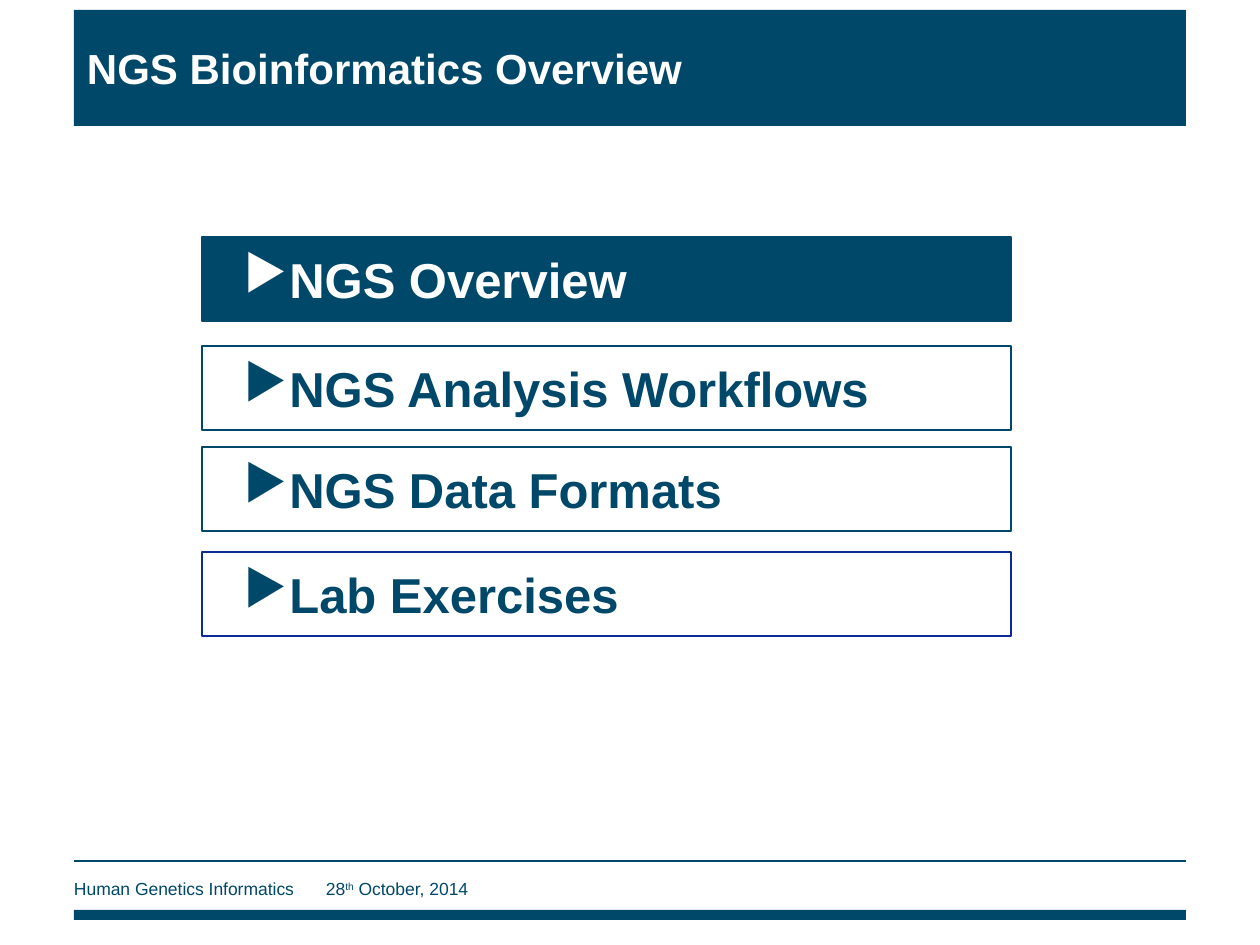
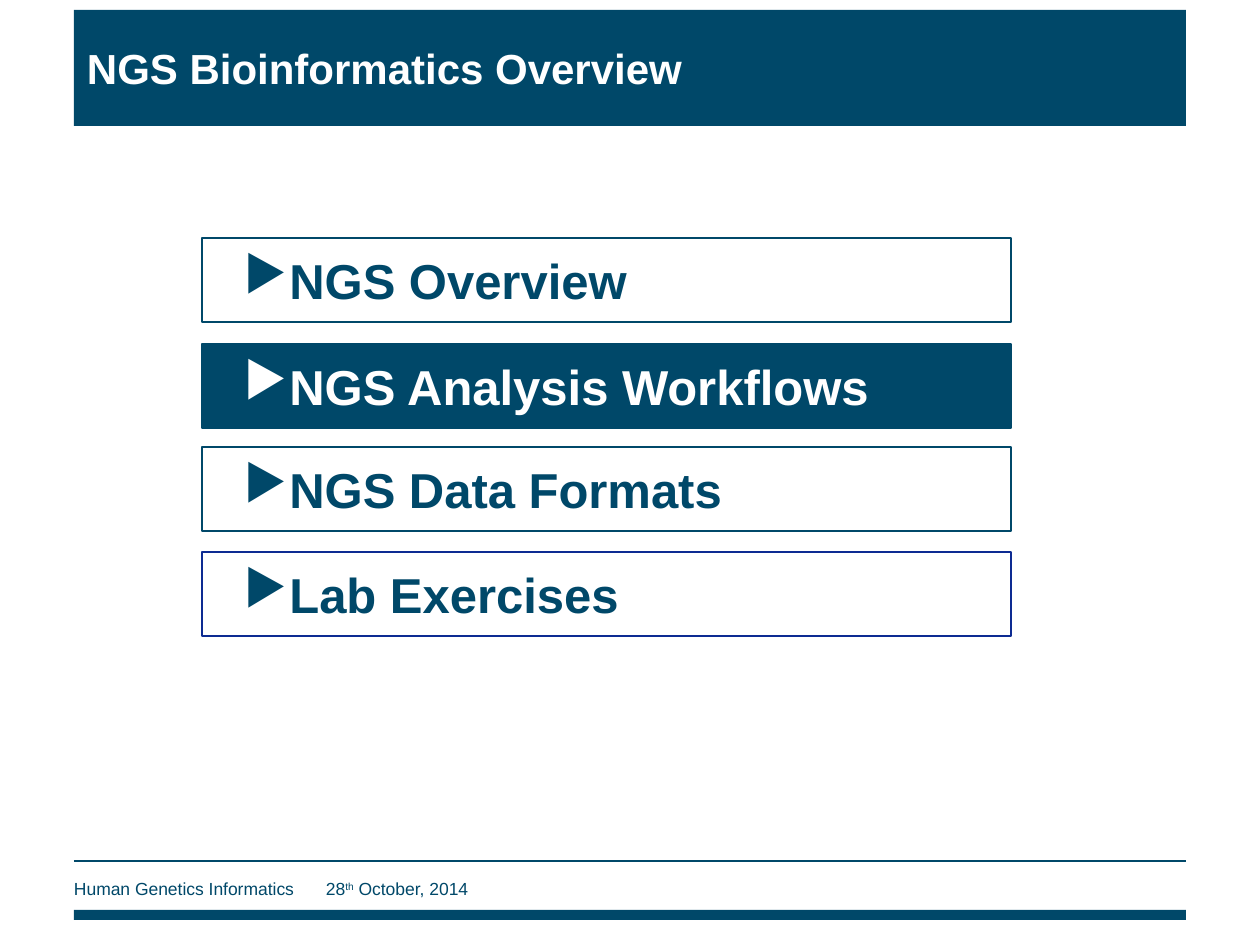
import dataclasses

import lxml.etree
import pptx
import pptx.dml.color
import pptx.enum.shapes
import pptx.enum.text
import pptx.oxml.ns
import pptx.util

PX = 914400 // 126  # EMU in one px


@dataclasses.dataclass(frozen=True)
class Theme:
    petrol: str = "004869"
    navy: str = "0D2B92"
    white: str = "FFFFFF"
    font: str = "Arial"
    title_size: int = 24
    topic_size: int = 28
    footer_size: int = 10
    line_width: float = 0.75


THEME = Theme()
TITLE = "NGS Bioinformatics Overview"
TITLE_BOX = (74, 10, 1112, 116)
FOOTER_BOX = (74, 861, 1112, 59)
AGENDA_BOX = (202, 237, 809, 399)
ROW_HEIGHT = 84

# Topic and outline colour
TOPICS = [
    ("NGS Overview", THEME.petrol),
    ("NGS Analysis Workflows", THEME.petrol),
    ("NGS Data Formats", THEME.petrol),
    ("Lab Exercises", THEME.navy),
]
# Current topic and the row offsets from the top of the agenda
AGENDAS = [
    (0, (0, 109, 210, 315)),
    (1, (1, 107, 210, 315)),
]


def px(*lengths):
    return [pptx.util.Emu(length * PX) for length in lengths]


def rgb(colour):
    return pptx.dml.color.RGBColor.from_string(colour)


def add_xml(parent, tag, **attributes):
    return lxml.etree.SubElement(parent, pptx.oxml.ns.qn(tag), attributes)


def set_font(para, size, colour, bold=False):
    para.font.name = THEME.font
    para.font.size = pptx.util.Pt(size)
    para.font.bold = bold
    para.font.color.rgb = rgb(colour)


def set_frame(shape, left_inset):
    frame = shape.text_frame
    frame.word_wrap = True
    frame.vertical_anchor = pptx.enum.text.MSO_ANCHOR.MIDDLE
    frame.margin_left, frame.margin_right = px(left_inset, 13)
    frame.margin_top, frame.margin_bottom = px(6, 6)
    para = frame.paragraphs[0]
    para.alignment = pptx.enum.text.PP_ALIGN.LEFT
    return para


def add_bar(page, box, fill, outline=None):
    bar = page.shapes.add_shape(pptx.enum.shapes.MSO_SHAPE.RECTANGLE, *px(*box))
    bar.shadow.inherit = False
    bar.fill.solid()
    bar.fill.fore_color.rgb = rgb(fill)
    if outline:
        bar.line.color.rgb = rgb(outline)
        bar.line.width = pptx.util.Pt(THEME.line_width)
    else:
        bar.line.fill.background()
    return bar


def add_title(page, box):
    para = set_frame(add_bar(page, box, THEME.petrol), 13)
    para.text = TITLE
    set_font(para, THEME.title_size, THEME.white, bold=True)


def add_footer(page, box):
    left, top, width, height = box

    # Thin rule above, thick band below
    rule = page.shapes.add_connector(
        pptx.enum.shapes.MSO_CONNECTOR.STRAIGHT, *px(left, top, left + width, top))
    rule.line.color.rgb = rgb(THEME.petrol)
    rule.line.width = pptx.util.Pt(THEME.line_width)
    add_xml(rule._element.spPr, "a:effectLst")
    add_bar(page, (left, top + height - 10, width, 10), THEME.petrol)

    # Group name and date, parted by a tab
    label = page.shapes.add_textbox(*px(left, top + 11, 845, 34))
    para = set_frame(label, 0)
    tabs = add_xml(para._p.get_or_add_pPr(), "a:tabLst")
    add_xml(tabs, "a:tab", pos=str(252 * PX), algn="l")
    set_font(para, THEME.footer_size, THEME.petrol)
    for text, baseline in (("Human Genetics Informatics\t28", 0),
                           ("th", 30000), (" October, 2014", 0)):
        span = para.add_run()
        span.text = text
        if baseline:
            span._r.get_or_add_rPr().set("baseline", str(baseline))


def add_topic(page, box, text, outline, current):
    fill, ink = (THEME.petrol, THEME.white) if current else (THEME.white, THEME.petrol)
    para = set_frame(add_bar(page, box, fill, outline), 42)
    para.text = text
    properties = para._p.get_or_add_pPr()
    add_xml(add_xml(properties, "a:buClr"), "a:srgbClr", val=ink)
    add_xml(properties, "a:buChar", char="▶")
    set_font(para, THEME.topic_size, ink, bold=True)


def add_agenda(page, box, current, offsets):
    left, top, width, _ = box
    for index, ((text, outline), offset) in enumerate(zip(TOPICS, offsets)):
        row = (left, top + offset, width, ROW_HEIGHT)
        add_topic(page, row, text, outline, index == current)


def main():
    deck = pptx.Presentation()
    deck.slide_width, deck.slide_height = px(1260, 945)
    for current, offsets in AGENDAS:
        page = deck.slides.add_slide(deck.slide_layouts[6])
        add_footer(page, FOOTER_BOX)
        add_title(page, TITLE_BOX)
        add_agenda(page, AGENDA_BOX, current, offsets)
    deck.save("out.pptx")


if __name__ == "__main__":
    main()
